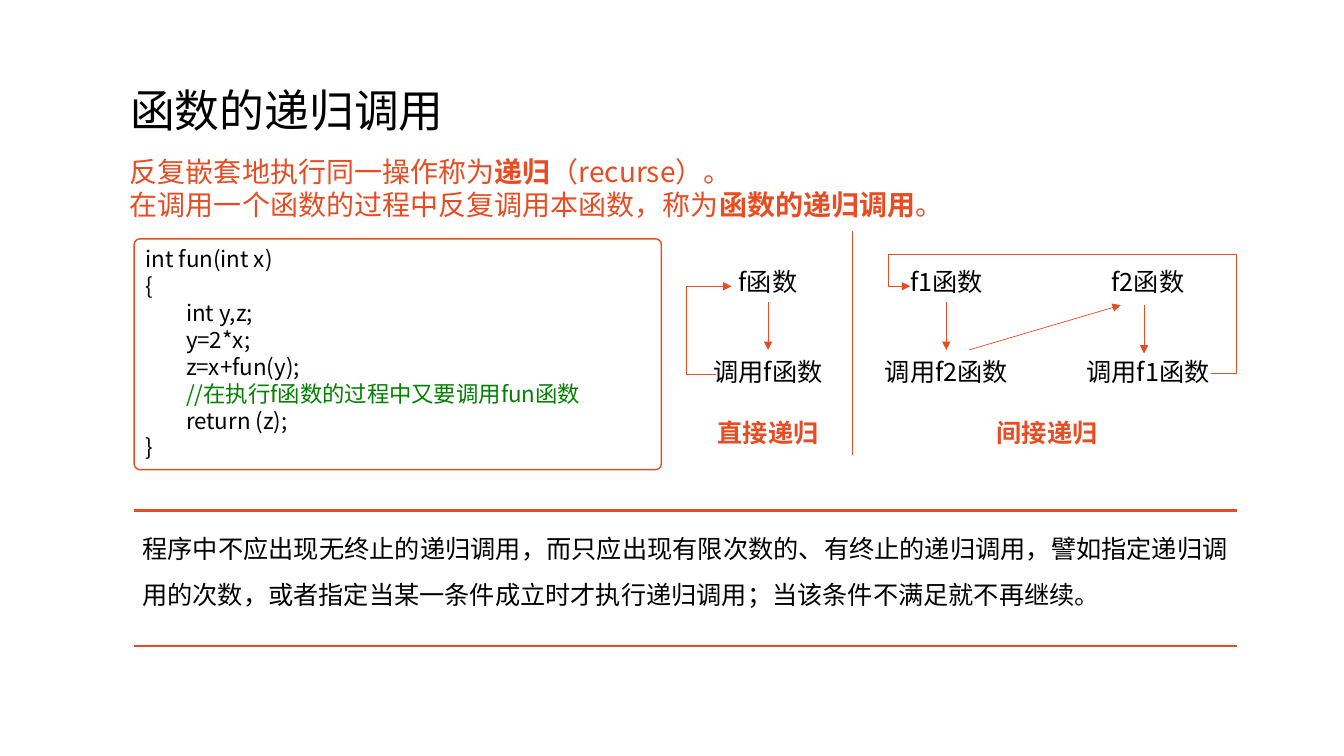
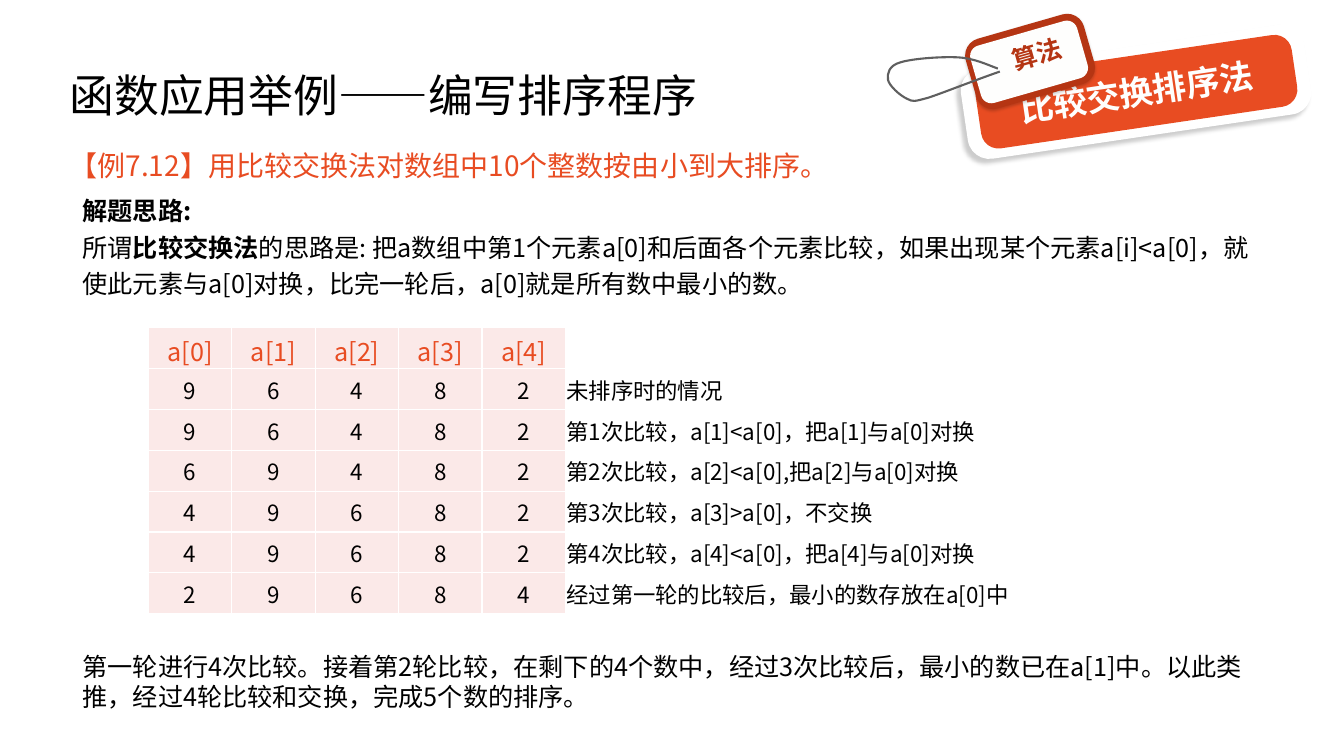
from lxml.etree import SubElement
from pptx import Presentation
from pptx.dml.color import RGBColor
from pptx.enum.shapes import MSO_CONNECTOR, MSO_SHAPE
from pptx.enum.text import MSO_ANCHOR, PP_ALIGN
from pptx.oxml.ns import qn
from pptx.util import Pt

FONT = "Noto Sans CJK SC"
ORANGE = RGBColor(0xE8, 0x4C, 0x22)
RUST = RGBColor(0xB5, 0x35, 0x13)
PINK = RGBColor(0xFB, 0xE9, 0xE8)
GREEN = RGBColor(0x00, 0x80, 0x00)
GRAY = RGBColor(0x5F, 0x5F, 0x5F)
BLACK = RGBColor(0, 0, 0)
WHITE = RGBColor(0xFF, 0xFF, 0xFF)
OFF_WHITE = RGBColor(0xFE, 0xFE, 0xFD)
ROUND = MSO_SHAPE.ROUNDED_RECTANGLE


def write(tf, paras, size=18, color=BLACK, bold=False, align=PP_ALIGN.LEFT,
          anchor=MSO_ANCHOR.TOP, spacing=None, before=0, after=0, tab=None,
          insets=(7.2, 3.6, 7.2, 3.6)):
    tf.word_wrap = True
    tf.vertical_anchor = anchor
    tf.margin_left, tf.margin_top, tf.margin_right, tf.margin_bottom = map(Pt, insets)
    for i, runs in enumerate(paras):
        p = tf.paragraphs[0] if i == 0 else tf.add_paragraph()
        p.alignment = align
        p.space_before, p.space_after = Pt(before if i else 0), Pt(after)
        if spacing:
            p.line_spacing = spacing
        if tab:
            tabs = SubElement(p._p.get_or_add_pPr(), qn("a:tabLst"))
            SubElement(tabs, qn("a:tab"), pos=str(Pt(tab)), algn="l")
        for run in [(runs, {})] if isinstance(runs, str) else runs:
            text, fmt = run
            r = p.add_run()
            r.text = text
            r.font.name = FONT
            r.font.size = Pt(size)
            r.font.bold = fmt.get("bold", bold)
            r.font.color.rgb = fmt.get("color", color)
            SubElement(r._r.get_or_add_rPr(), qn("a:ea"), typeface=FONT)


def add_color(parent, color):
    fill = SubElement(parent, qn("a:solidFill"))
    return SubElement(fill, qn("a:srgbClr"), val=str(color))


class Deck:
    def __init__(self):
        self.prs = Presentation()
        self.prs.slide_width, self.prs.slide_height = Pt(960), Pt(540)

    def slide(self, title, x, y, w):
        self.s = self.prs.slides.add_slide(self.prs.slide_layouts[5])
        self.shapes = self.s.shapes
        sp = self.s.shapes.title
        sp.left, sp.top, sp.width, sp.height = Pt(x), Pt(y), Pt(w), Pt(104.4)
        write(sp.text_frame, [title], size=32, anchor=MSO_ANCHOR.MIDDLE, spacing=0.9)

    def group(self):
        self.shapes = self.s.shapes.add_group_shape().shapes

    def ungroup(self):
        self.shapes = self.s.shapes

    def text(self, x, y, w, h, paras, **fmt):
        sp = self.shapes.add_textbox(Pt(x), Pt(y), Pt(w), Pt(h))
        write(sp.text_frame, paras, **fmt)
        return sp

    def label(self, cx, y, text, **fmt):
        return self.text(cx - 70, y, 140, 30, [text], align=PP_ALIGN.CENTER,
                         anchor=MSO_ANCHOR.MIDDLE, insets=(0, 0, 0, 0), **fmt)

    def shape(self, kind, x, y, w, h, fill, line=None, radius=None, angle=0, shadow=None):
        sp = self.shapes.add_shape(kind, Pt(x), Pt(y), Pt(w), Pt(h))
        sp.shadow.inherit = False
        sp.rotation = angle
        sp.fill.solid()
        sp.fill.fore_color.rgb = fill
        if radius is not None:
            sp.adjustments[0] = radius
        if line:
            sp.line.color.rgb = line
            sp.line.width = Pt(1)
        else:
            sp.line.fill.background()
        if shadow:
            blur, dist, degrees = shadow
            effects = sp._element.spPr.find(qn("a:effectLst"))
            outer = SubElement(effects, qn("a:outerShdw"), blurRad=str(Pt(blur)),
                               dist=str(Pt(dist)), dir=str(degrees * 60000),
                               algn="ctr", rotWithShape="0")
            rgb = SubElement(outer, qn("a:srgbClr"), val="000000")
            SubElement(rgb, qn("a:alpha"), val="20000")
        return sp

    def stroke(self, sp, color, width, arrow):
        sp.line.color.rgb = color
        sp.line.width = Pt(width)
        if arrow:
            SubElement(sp.line._get_or_add_ln(), qn("a:tailEnd"), type="triangle")

    def line(self, x1, y1, x2, y2, width=0.5, arrow=False):
        c = self.shapes.add_connector(MSO_CONNECTOR.STRAIGHT, Pt(x1), Pt(y1), Pt(x2), Pt(y2))
        self.stroke(c, ORANGE, width, arrow)
        SubElement(c._element.spPr, qn("a:effectLst"))
        return c

    def join(self, upper, lower):
        c = self.line(0, 0, 0, 0, arrow=True)
        c.begin_connect(upper, 2)
        c.end_connect(lower, 0)

    def outline(self, points, color=ORANGE, width=0.5, arrow=False):
        start, *rest = [(Pt(x), Pt(y)) for x, y in points]
        fb = self.shapes.build_freeform(*start)
        fb.add_line_segments(rest, close=False)
        sp = fb.convert_to_shape()
        sp.shadow.inherit = False
        sp.fill.background()
        self.stroke(sp, color, width, arrow)
        return sp

    def curve(self, points, color, width):
        sp = self.outline(points, color, width)
        segments = list(sp._element.iter(qn("a:lnTo")))
        outline = segments[0].getparent()
        for i in range(0, len(segments), 3):
            bezier = SubElement(outline, qn("a:cubicBezTo"))
            for segment in segments[i:i + 3]:
                bezier.append(segment[0])
                outline.remove(segment)

    def table(self, x, y, widths, row_height, rows):
        frame = self.shapes.add_table(len(rows), len(widths), Pt(x), Pt(y),
                                      Pt(sum(widths)), Pt(row_height * len(rows)))
        table = frame.table
        table.first_row = table.horz_banding = False
        for column, width in zip(table.columns, widths):
            column.width = Pt(width)
        for i, row in enumerate(rows):
            table.rows[i].height = Pt(row_height)
            for j, text in enumerate(row):
                self.cell(table.cell(i, j), text, header=i == 0, note=j == len(widths) - 1)

    def cell(self, cell, text, header, note):
        if header:
            fmt = dict(size=18, color=ORANGE)
        else:
            fmt = dict(size=16, insets=(0.7, 0.7, 0.7, 0))
        write(cell.text_frame, [text] if text else [],
              align=PP_ALIGN.JUSTIFY if note else PP_ALIGN.CENTER, **fmt)
        insets = fmt.get("insets", (7.2, 3.6, 7.2, 3.6))
        cell.margin_left, cell.margin_top, cell.margin_right, cell.margin_bottom = map(Pt, insets)
        cell.vertical_anchor = MSO_ANCHOR.TOP if header else MSO_ANCHOR.MIDDLE
        tcPr = cell._tc.get_or_add_tcPr()
        for side in ("lnL", "lnR", "lnT", "lnB"):
            add_color(SubElement(tcPr, qn(f"a:{side}"), w=str(Pt(1))), WHITE)
        if note:
            cell.fill.background()
        else:
            cell.fill.solid()
            cell.fill.fore_color.rgb = PINK


def recursion(d):
    strong = dict(bold=True)
    d.slide("函数的递归调用", 85.7, 28.8, 466.6)
    d.text(85.7, 106.6, 849.6, 55.4, [
        [("反复嵌套地执行同一操作称为", {}), ("递归", strong), ("（recurse）。", {})],
        [("在调用一个函数的过程中反复调用本函数，称为", {}), ("函数的递归调用", strong), ("。", {})],
    ], size=20, color=ORANGE)
    code = d.shape(ROUND, 95.8, 170.6, 376.6, 164.9, WHITE, line=ORANGE, radius=0.025)
    write(code.text_frame, [
        "int fun(int x)", "{", "\tint y,z;", "\ty=2*x;", "\tz=x+fun(y);",
        [("\t", {}), ("//在执行f函数的过程中又要调用fun函数", dict(color=GREEN))],
        "\treturn (z);", "}",
    ], size=16, tab=28.8)

    top, middle, bottom = 186, 250, 294
    f = d.label(548.6, top, "f函数")
    call_f = d.label(548.6, middle, "调用f函数")
    f1 = d.label(676, top, "f1函数")
    call_f2 = d.label(676, middle, "调用f2函数")
    d.label(820, top, "f2函数")
    d.label(820, middle, "调用f1函数")
    d.label(548.6, bottom, "直接递归", color=ORANGE, bold=True)
    d.label(748, bottom, "间接递归", color=ORANGE, bold=True)

    d.line(609.1, 165, 609.1, 325)
    d.join(f, call_f)
    d.join(f1, call_f2)
    d.line(817.2, 218, 817.2, 252.5, arrow=True)
    d.line(692, 250, 800.6, 218, arrow=True)
    d.outline([(511.2, 267.3), (490.6, 267.3), (490.6, 204.5), (522.5, 204.5)], arrow=True)
    d.outline([(864.7, 266.6), (883.4, 266.6), (883.4, 181.4), (634.5, 181.4),
               (634.5, 204.5), (650.2, 204.5)], arrow=True)

    for y in (364.5, 461.5):
        d.line(95.8, y, 883.4, y, width=2)
    d.text(95.8, 364.5, 787.6, 97, [
        "程序中不应出现无终止的递归调用，而只应出现有限次数的、有终止的递归调用，譬如指定递归调用的次数，"
        "或者指定当某一条件成立时才执行递归调用；当该条件不满足就不再继续。",
    ], align=PP_ALIGN.JUSTIFY, spacing=1.5, after=6, insets=(5.8, 5.8, 5.8, 5.8))


def sorting(d):
    d.slide("函数应用举例——编写排序程序", 42.5, 18, 828)
    d.text(42.5, 97.9, 887, 40.3, ["【例7.12】用比较交换法对数组中10个整数按由小到大排序。"],
           size=20, color=ORANGE, spacing=1.2)
    d.text(51.8, 131.8, 853.2, 85.7, [
        [("解题思路:", dict(bold=True))],
        [("所谓", {}), ("比较交换法", dict(bold=True)),
         ("的思路是: 把a数组中第1个元素a[0]和后面各个元素比较，如果出现某个元素a[i]<a[0]，"
          "就使此元素与a[0]对换，比完一轮后，a[0]就是所有数中最小的数。", {})],
    ], spacing=1.2)

    d.group()
    center = dict(align=PP_ALIGN.CENTER, anchor=MSO_ANCHOR.MIDDLE, bold=True)
    d.shape(ROUND, 687.6, 33.1, 247.7, 64.8, WHITE, radius=0.24, angle=351.6, shadow=(3, 4, 135))
    banner = d.shape(ROUND, 697.7, 39.6, 228.2, 51.8, ORANGE, radius=0.24, angle=351.6)
    write(banner.text_frame, ["比较交换排序法"], size=24, color=OFF_WHITE,
          insets=(0, 0, 0, 0), **center)
    d.shape(ROUND, 691.9, 18, 87.8, 51.8, RUST, radius=0.24, angle=344, shadow=(2, 1, 100))
    tag = d.shape(ROUND, 695.5, 23, 79.2, 42.5, OFF_WHITE, radius=0.18, angle=344)
    write(tag.text_frame, ["算法"], color=RUST, insets=(14.4, 0, 0, 8.6), **center)
    d.shape(MSO_SHAPE.OVAL, 702, 44.6, 13, 13, WHITE)
    d.curve([(712.8, 49), (704.9, 46.1), (696.2, 41.8), (684.7, 41),
             (673.2, 40.3), (651.6, 41.8), (643, 44.6), (635, 46.8), (633.6, 52.6), (634.3, 56.9),
             (635, 61.2), (643, 68.4), (648, 70.6), (652.3, 72.7), (652.3, 72.7), (663.1, 69.8),
             (673.9, 66.2), (695.5, 57.6), (714.2, 51.1)], GRAY, 1.5)
    d.ungroup()

    steps = [
        ("96482", "未排序时的情况"),
        ("96482", "第1次比较，a[1]<a[0]，把a[1]与a[0]对换"),
        ("69482", "第2次比较，a[2]<a[0],把a[2]与a[0]对换"),
        ("49682", "第3次比较，a[3]>a[0]，不交换"),
        ("49682", "第4次比较，a[4]<a[0]，把a[4]与a[0]对换"),
        ("29684", "经过第一轮的比较后，最小的数存放在a[0]中"),
    ]
    header = [f"a[{i}]" for i in range(5)] + [""]
    d.table(106, 234, [59.6] * 5 + [448], 29.2,
            [header] + [[*digits, note] for digits, note in steps])
    d.text(51.8, 461.5, 853.2, 51, [
        "第一轮进行4次比较。接着第2轮比较，在剩下的4个数中，经过3次比较后，最小的数已在a[1]中。"
        "以此类推，经过4轮比较和交换，完成5个数的排序。",
    ])


def main():
    d = Deck()
    recursion(d)
    sorting(d)
    d.prs.save("out.pptx")


if __name__ == "__main__":
    main()
